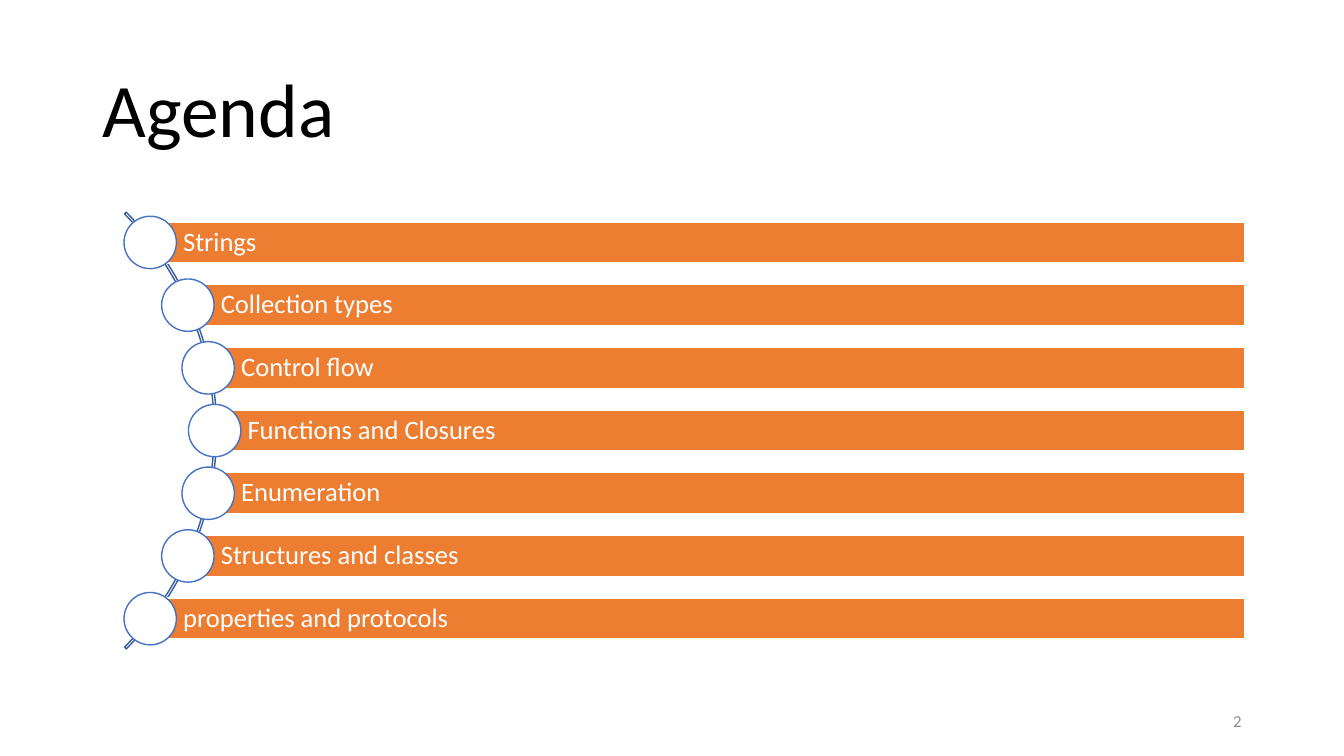
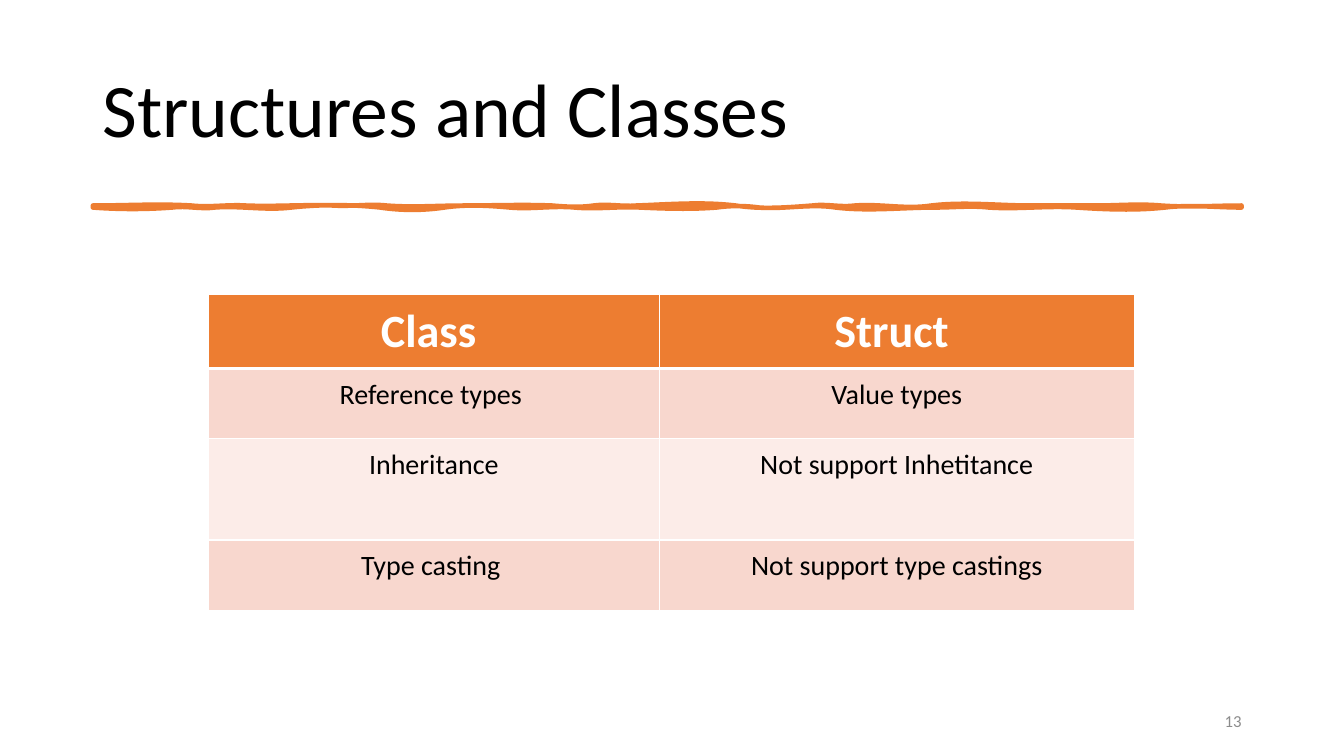
from math import sqrt

from lxml import etree
from pptx import Presentation
from pptx import util as u
from pptx.dml import color
from pptx.enum import shapes, text
from pptx.oxml import ns

COLORS = {
    "accent": "ED7D31",
    "white": "FFFFFF",
    "ink": "000000",
    "muted": "8C8C8C",
    "node": "4472C4",
    "arc": "365B9D",
    "band_dark": "F8D7CE",
    "band_light": "FCECE8",
}
FONT = "Calibri"
LEFT, RIGHT = 2.34, 31.29

TOPICS = [
    "Strings",
    "Collection types",
    "Control flow",
    "Functions and Closures",
    "Enumeration",
    "Structures and classes",
    "properties and protocols",
]
COMPARISON = [
    ("Class ", "Struct "),
    ("Reference types ", "Value types"),
    ("Inheritance", "Not support Inhetitance"),
    ("Type casting ", "Not support type castings"),
]
UPPER_EDGE = [
    (LEFT, 0), (4.83, -0.05), (6.2, -0.03), (8.41, -0.03), (9.75, -0.05),
    (11.68, 0), (13.92, -0.03), (14.96, 0.05), (16.03, 0.03),
    (18.54, -0.1), (20.47, 0.05), (21.54, 0.05), (23.47, 0.1),
    (25.98, 0), (27.61, 0), (29.26, -0.05), (RIGHT, 0),
]
LOWER_EDGE = [
    (RIGHT, 0), (29.36, -0.08), (27.13, 0.05), (24.92, 0.05), (23.57, 0),
    (21.06, 0.1), (19.13, 0.05), (18.06, -0.05), (16.13, 0.03),
    (14.48, 0.05), (12.85, 0.05), (11.2, -0.08), (9.58, 0.08),
    (7.34, -0.08), (5.41, -0.05), (4.34, -0.05), (LEFT, 0.05),
]


def rgb(name):
    return color.RGBColor.from_string(COLORS[name])


def write(frame, words, size, ink, align=text.PP_ALIGN.LEFT, bold=False, spacing=1.0):
    para = frame.paragraphs[0]
    para.alignment = align
    para.line_spacing = spacing
    span = para.add_run()
    span.text = words
    span.font.name = FONT
    span.font.size = u.Pt(size)
    span.font.bold = bold
    span.font.color.rgb = rgb(ink)


def paint(shape, fill, line, width):
    shape.shadow.inherit = False
    if fill:
        shape.fill.solid()
        shape.fill.fore_color.rgb = rgb(fill)
    else:
        shape.fill.background()
    shape.line.color.rgb = rgb(line)
    shape.line.width = u.Pt(width)


def add_preset(page, kind, place, fill, line, width):
    shape = page.shapes.add_shape(kind, *map(u.Cm, place))
    paint(shape, fill, line, width)
    return shape


def add_label(page, place, words, size, ink, **style):
    box = page.shapes.add_textbox(*map(u.Cm, place))
    frame = box.text_frame
    frame.word_wrap = True
    frame.vertical_anchor = text.MSO_ANCHOR.MIDDLE
    write(frame, words, size, ink, **style)


def add_page(deck, title, number):
    page = deck.slides.add_slide(deck.slide_layouts[6])
    add_label(page, (LEFT, 1.02, 29.21, 3.68), title, 54, "ink", spacing=0.9)
    add_label(page, (23.92, 17.65, 7.62, 1.02), str(number), 12, "muted",
              align=text.PP_ALIGN.RIGHT)
    return page


def add_bar(page, left, middle, words):
    height = 1.05
    bar = add_preset(page, shapes.MSO_SHAPE.RECTANGLE,
                     (left, middle - height / 2, 31.38 - left, height),
                     "accent", "white", 1.5)
    frame = bar.text_frame
    frame.word_wrap = True
    frame.vertical_anchor = text.MSO_ANCHOR.MIDDLE
    frame.margin_left = u.Cm(0.83)
    frame.margin_right = frame.margin_top = frame.margin_bottom = u.Cm(0.13)
    write(frame, words, 19, "white", spacing=0.9)


def add_curved_list(page, topics):
    center_x, center_y, radius, track, step, node = -2.32, 10.85, 7.78, 7.73, 1.58, 1.32
    arc = add_preset(page, shapes.MSO_SHAPE.BLOCK_ARC,
                     (center_x - radius, center_y - radius, 2 * radius, 2 * radius),
                     None, "arc", 1)
    for index, value in enumerate((189, 27, 0.004)):
        arc.adjustments[index] = value
    for index, topic in enumerate(topics):
        rise = (index - (len(topics) - 1) / 2) * step
        x, y = center_x + sqrt(track ** 2 - rise ** 2), center_y + rise
        add_bar(page, x, y, topic)
        add_preset(page, shapes.MSO_SHAPE.OVAL,
                   (x - node / 2, y - node / 2, node, node), "white", "node", 1)


def bend(line, start, end, leans):
    curve = etree.Element(ns.qn("a:cubicBezTo"))
    (x0, y0), (x1, y1) = start, end
    handles = [
        (x0 + (x1 - x0) / 3, y0 - u.Cm(leans[0])),
        (x1 - (x1 - x0) / 3, y1 + u.Cm(leans[1])),
        end,
    ]
    for x, y in handles:
        etree.SubElement(curve, ns.qn("a:pt"), x=str(round(x)), y=str(round(y)))
    line.getparent().replace(line, curve)


def add_brush_line(page, top=5.18, bottom=5.23):
    knots = [(u.Cm(x), u.Cm(y), lean)
             for edge, y in ((UPPER_EDGE, top), (LOWER_EDGE, bottom))
             for x, lean in edge]
    points = [(x, y) for x, y, lean in knots]
    builder = page.shapes.build_freeform(*points[0])
    builder.add_line_segments(points[1:], close=True)
    brush = builder.convert_to_shape()
    paint(brush, "accent", "accent", 3.25)
    local = [(x - brush.left, y - brush.top) for x, y in points]
    lines = list(brush.element.iter(ns.qn("a:lnTo")))
    for index, line in enumerate(lines[:len(points) - 1]):
        leans = knots[index][2], knots[index + 1][2]
        bend(line, local[index], local[index + 1], leans)


def add_borders(cell, widths):
    properties = cell._tc.get_or_add_tcPr()
    for side, width in zip("LRTB", widths):
        line = etree.SubElement(properties, ns.qn(f"a:ln{side}"), w=str(u.Pt(width)))
        fill = etree.SubElement(line, ns.qn("a:solidFill"))
        etree.SubElement(fill, ns.qn("a:srgbClr"), val=COLORS["white"])


def add_comparison(page, rows):
    widths, heights = (11.35, 11.98), (1.77, 1.77, 2.55, 1.77)
    place = (5.26, 7.43, sum(widths), sum(heights))
    table = page.shapes.add_table(len(rows), len(widths), *map(u.Cm, place)).table
    table.first_row = table.horz_banding = False
    for column, width in zip(table.columns, widths):
        column.width = u.Cm(width)
    for index, entries in enumerate(rows):
        table.rows[index].height = u.Cm(heights[index])
        header = index == 0
        band = "accent" if header else ("band_light", "band_dark")[index % 2]
        for column, words in enumerate(entries):
            cell = table.cell(index, column)
            cell.margin_left = cell.margin_right = u.Cm(0.46)
            cell.margin_top = cell.margin_bottom = u.Cm(0.23)
            add_borders(cell, (1, 1, 3 if index == 1 else 1, 3 if header else 1))
            cell.fill.solid()
            cell.fill.fore_color.rgb = rgb(band)
            write(cell.text_frame, words, 33 if header else 20,
                  "white" if header else "ink", text.PP_ALIGN.CENTER, header)


def main():
    deck = Presentation()
    deck.slide_width, deck.slide_height = u.Cm(33.87), u.Cm(19.05)
    add_curved_list(add_page(deck, "Agenda", 2), TOPICS)
    page = add_page(deck, "Structures and Classes", 13)
    add_brush_line(page)
    add_comparison(page, COMPARISON)
    deck.save("out.pptx")


if __name__ == "__main__":
    main()
